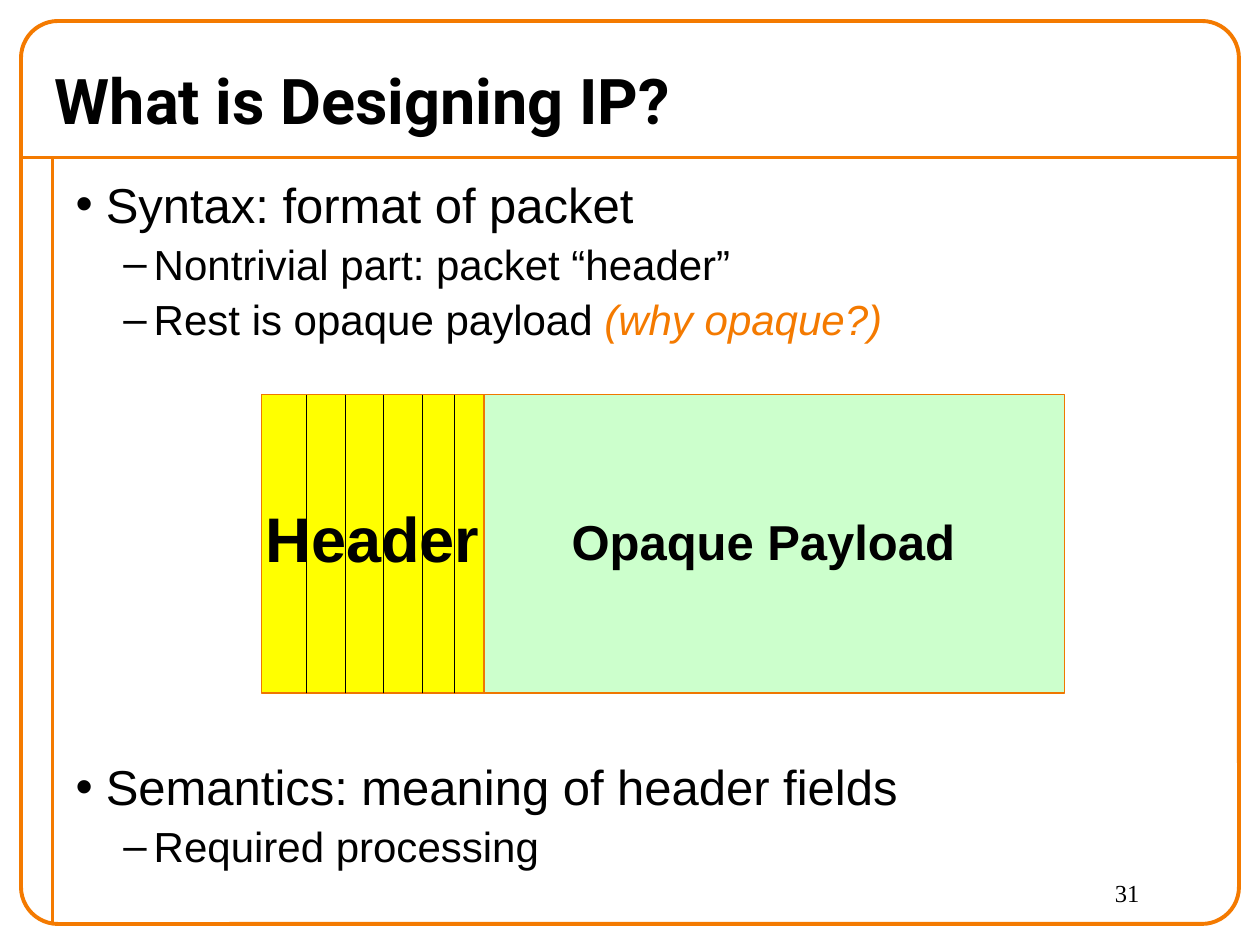
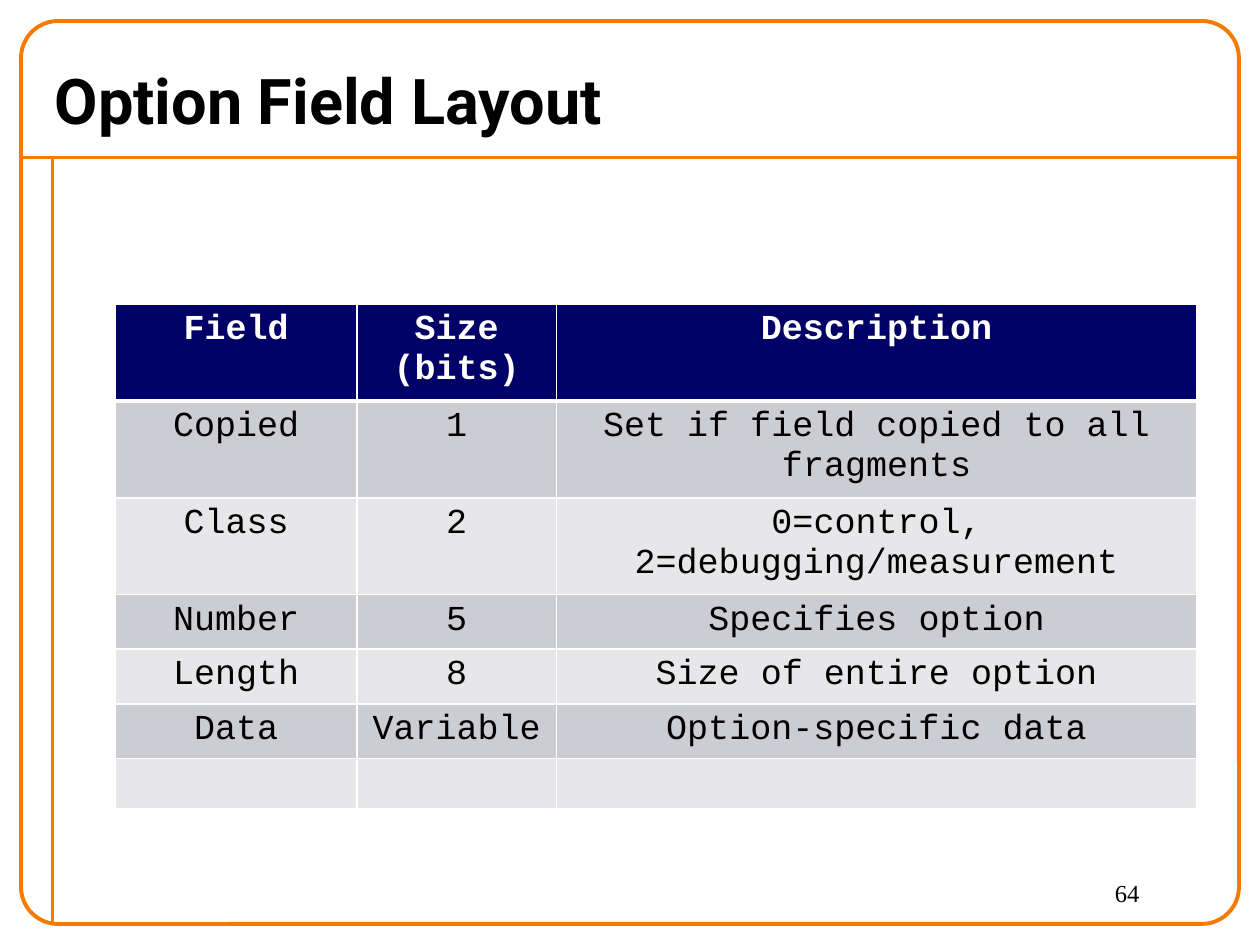
import pptx
import pptx.util
import pptx.dml.color
import pptx.enum.dml
import pptx.enum.shapes
import pptx.enum.text
import pptx.oxml
import pptx.oxml.ns

Pt = pptx.util.Pt
Kind = pptx.enum.shapes.MSO_SHAPE
Align = pptx.enum.text.PP_ALIGN
Dash = pptx.enum.dml.MSO_LINE

HUES = {
    "ink": "000000", "white": "FFFFFF", "orange": "F47A00", "edge": "EF7700",
    "yellow": "FFFF00", "green": "CCFFCC", "navy": "000066",
    "dark": "CCCCD3", "light": "E7E7EA",
}
COLS, ROWS = 120, 90


def rgb(hue):
    return pptx.dml.color.RGBColor.from_string(HUES[hue])


def xml(text):
    return pptx.oxml.parse_xml(text.replace(" NS", " " + pptx.oxml.ns.nsdecls("a"), 1))


class Deck:
    title_font = dict(name="Roboto", size=Pt(36), bold=True)
    page_font = dict(name="Times New Roman", size=Pt(14))
    cell_font = dict(name="Courier New", size=Pt(20))
    list_fonts = [dict(name="Arial", size=Pt(28)), dict(name="Arial", size=Pt(24))]
    indents = [0.24, 0.62]
    hang = 0.24

    def __init__(self):
        self.file = pptx.Presentation()
        self.file.slide_width = pptx.util.Inches(10)
        self.file.slide_height = pptx.util.Inches(7.5)

    def x(self, col):
        return round(self.file.slide_width * col / COLS)

    def y(self, row):
        return round(self.file.slide_height * row / ROWS)

    def box(self, left, top, width, height):
        return self.x(left), self.y(top), self.x(width), self.y(height)

    def place(self, shape, *box):
        names = ("left", "top", "width", "height")
        for name, value in zip(names, self.box(*box)):
            setattr(shape, name, value)

    def words(self, para, text, font, hue="ink", **extra):
        run = para.add_run()
        run.text = text
        for name, value in {**font, **extra}.items():
            setattr(run.font, name, value)
        run.font.color.rgb = rgb(hue)

    def slide(self, title, page, layout):
        self.page = self.file.slides.add_slide(self.file.slide_layouts[layout])
        self.pen = self.page.shapes
        self.line(2, 15, 118, 15)
        self.line(5, 15, 5, 88)
        frame = self.shape(Kind.ROUNDED_RECTANGLE, (2, 2, 116, 86), None, "orange", 2.25)
        frame.adjustments[0] = 0.041
        head = self.page.shapes.title
        self.place(head, 4, 5, 114, 9)
        head.text_frame.vertical_anchor = pptx.enum.text.MSO_ANCHOR.MIDDLE
        para = head.text_frame.paragraphs[0]
        para.alignment = Align.LEFT
        self.words(para, title, self.title_font)
        self.label((105, 83, 12, 5), str(page), self.page_font, Align.LEFT)

    def shape(self, kind, box, fill, edge, width):
        shape = self.pen.add_shape(kind, *self.box(*box))
        shape.shadow.inherit = False
        if fill:
            shape.fill.solid()
            shape.fill.fore_color.rgb = rgb(fill)
        else:
            shape.fill.background()
        shape.line.color.rgb = rgb(edge)
        shape.line.width = Pt(width)
        return shape

    def line(self, left, top, right, bottom, hue="orange", width=2.25, dash=None):
        ends = self.x(left), self.y(top), self.x(right), self.y(bottom)
        line = self.pen.add_connector(pptx.enum.shapes.MSO_CONNECTOR.STRAIGHT, *ends)
        line.line.color.rgb = rgb(hue)
        line.line.width = Pt(width)
        if dash:
            line.line.dash_style = dash
        line._element.spPr.append(xml("<a:effectLst NS/>"))

    def label(self, box, text, font, align=Align.CENTER):
        frame = self.pen.add_textbox(*self.box(*box)).text_frame
        frame.word_wrap = align == Align.LEFT
        para = frame.paragraphs[0]
        para.alignment = align
        self.words(para, text, font)

    def bullets(self, box, items):
        body = self.page.placeholders[1]
        self.place(body, *box)
        frame = body.text_frame
        frame.auto_size = pptx.enum.text.MSO_AUTO_SIZE.NONE
        for i, (level, gap, parts) in enumerate(items):
            para = frame.add_paragraph() if i else frame.paragraphs[0]
            para.level = level
            para.space_before = Pt(gap)
            props = para._p.get_or_add_pPr()
            props.set("marL", str(pptx.util.Inches(self.indents[level])))
            props.set("indent", str(-pptx.util.Inches(self.hang)))
            for text, look in parts:
                self.words(para, text, self.list_fonts[level], **look)

    def border(self, cell, top, bottom):
        props = cell._tc.get_or_add_tcPr()
        sides = dict(L=1, R=1, T=top, B=bottom)
        for i, (side, width) in enumerate(sides.items()):
            props.insert(i, xml(
                f'<a:ln{side} NS w="{Pt(width)}"><a:solidFill>'
                f'<a:srgbClr val="{HUES["white"]}"/></a:solidFill></a:ln{side}>'))

    def table(self, box, widths, rows):
        grid = self.pen.add_table(len(rows), len(widths), *self.box(*box)).table
        for col, width in zip(grid.columns, widths):
            col.width = self.x(width)
        for r, row in enumerate(rows):
            fill = "navy" if r == 0 else ("light", "dark")[r % 2]
            for c, text in enumerate(row):
                cell = grid.cell(r, c)
                cell.fill.solid()
                cell.fill.fore_color.rgb = rgb(fill)
                self.border(cell, 3 if r == 1 else 1, 3 if r == 0 else 1)
                para = cell.text_frame.paragraphs[0]
                para.alignment = Align.CENTER
                if text:
                    self.words(para, text, self.cell_font,
                               "ink" if r else "white", bold=r == 0)


deck = Deck()

deck.slide("What is Designing IP?", 31, 1)
deck.bullets((6, 16, 111, 72), [
    (0, 0, [("Syntax: format of packet", {})]),
    (1, 2.8, [("Nontrivial part: packet “header”", {})]),
    (1, 2.8, [("Rest is opaque payload ", {}),
              ("(why opaque?)", dict(hue="orange", italic=True))]),
    (0, 236, [("Semantics: meaning of header fields", {})]),
    (1, 2.8, [("Required processing", {})]),
])
deck.pen = deck.page.shapes.add_group_shape().shapes
top, tall = 37.6, 28.4
deck.shape(Kind.RECTANGLE, (24.9, top, 21.2, tall), "yellow", "edge", 0.75)
deck.shape(Kind.RECTANGLE, (46.1, top, 55.3, tall), "green", "edge", 0.75)
bold = dict(name="Arial", bold=True)
deck.label((24, 47, 23, 8.5), "Header", dict(bold, size=Pt(36)))
deck.label((48.3, 48.1, 48.8, 6.9), "Opaque Payload", dict(bold, size=Pt(28)))
for col in (29.2, 32.9, 36.5, 40.2, 43.3):
    deck.line(col, top, col, top + tall, "ink", 0.25, Dash.ROUND_DOT)

deck.slide("Option Field Layout", 64, 5)
deck.table((11, 29, 103, 33.7), (23, 19, 61), [
    ("Field", "Size (bits)", "Description"),
    ("Copied", "1", "Set if field copied to all fragments"),
    ("Class", "2", "0=control, 2=debugging/measurement"),
    ("Number", "5", "Specifies option"),
    ("Length", "8", "Size of entire option"),
    ("Data", "Variable", "Option-specific data"),
    ("", "", ""),
])

deck.file.save("out.pptx")
